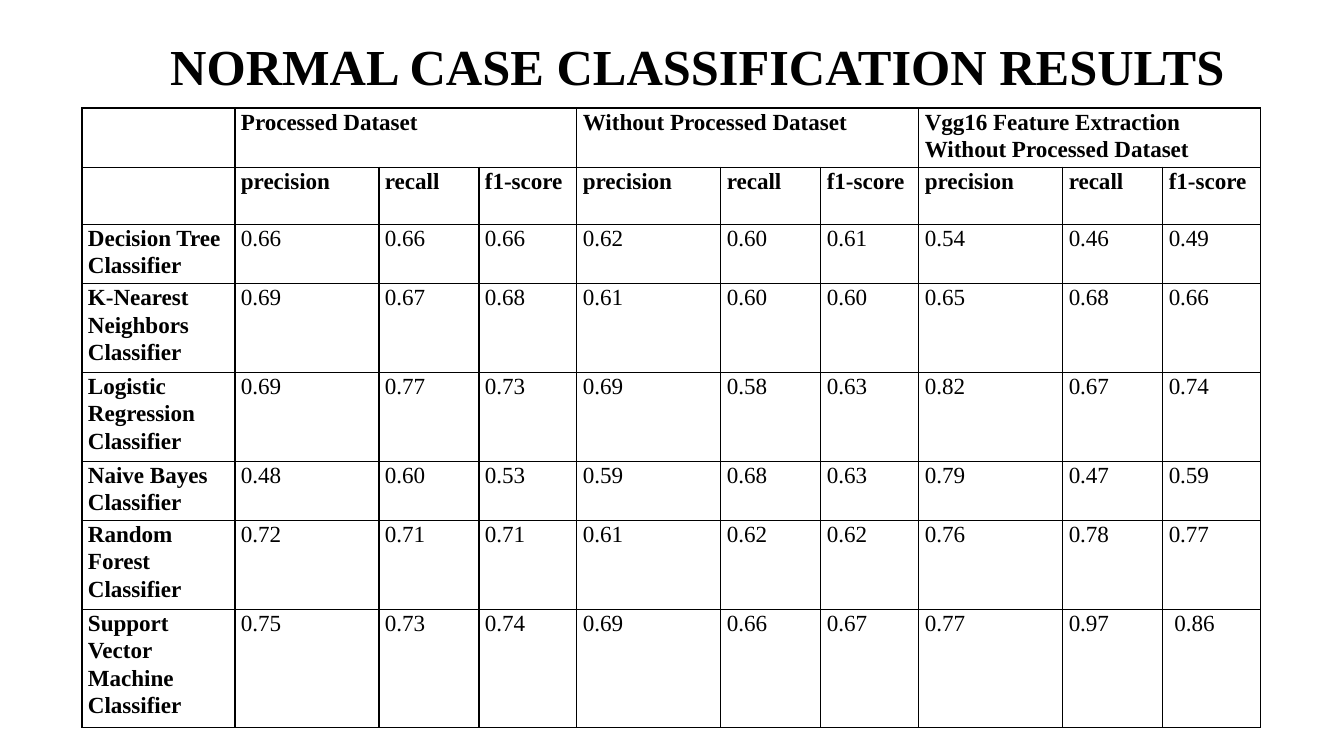
import pptx
import pptx.dml.color
import pptx.enum.text
import pptx.oxml
import pptx.oxml.ns
import pptx.util

PX = 914400 / 100.8
FONT = "Times New Roman"
COLORS = {"ink": "000000", "paper": "FFFFFF"}

DATASETS = ["Processed Dataset", "Without Processed Dataset",
            "Vgg16 Feature Extraction Without Processed Dataset"]
METRICS = ["precision", "recall", "f1-score"]
SCORES = {
    "Decision Tree Classifier":
        ["0.66", "0.66", "0.66", "0.62", "0.60", "0.61", "0.54", "0.46", "0.49"],
    "K-Nearest Neighbors Classifier":
        ["0.69", "0.67", "0.68", "0.61", "0.60", "0.60", "0.65", "0.68", "0.66"],
    "Logistic Regression Classifier":
        ["0.69", "0.77", "0.73", "0.69", "0.58", "0.63", "0.82", "0.67", "0.74"],
    "Naive Bayes Classifier":
        ["0.48", "0.60", "0.53", "0.59", "0.68", "0.63", "0.79", "0.47", "0.59"],
    "Random Forest Classifier":
        ["0.72", "0.71", "0.71", "0.61", "0.62", "0.62", "0.76", "0.78", "0.77"],
    "Support Vector Machine Classifier":
        ["0.75", "0.73", "0.74", "0.69", "0.66", "0.67", "0.77", "0.97", " 0.86"],
}
NAME_WIDTH = 153
METRIC_WIDTHS = [144, 100, 98]
ROW_HEIGHTS = [57, 57, 57, 85, 85, 57, 85, 114]


def px(n):
    return pptx.util.Emu(round(n * PX))


def rgb(name):
    return pptx.dml.color.RGBColor.from_string(COLORS[name])


def add_run(p, text, size, bold):
    r = p.add_run()
    r.text = text
    r.font.name = FONT
    r.font.size = pptx.util.Pt(size)
    r.font.bold = bold
    r.font.color.rgb = rgb("ink")


def add_title(s, x, y, w, h):
    tf = s.shapes.add_textbox(px(x), px(y), px(w), px(h)).text_frame
    tf.word_wrap = True
    tf.vertical_anchor = pptx.enum.text.MSO_ANCHOR.MIDDLE
    p = tf.paragraphs[0]
    p.alignment = pptx.enum.text.PP_ALIGN.CENTER
    add_run(p, "NORMAL CASE CLASSIFICATION RESULTS", 36, True)


def set_borders(cell):
    tc_pr = cell._tc.get_or_add_tcPr()
    for i, side in enumerate(["lnL", "lnR", "lnT", "lnB"]):
        tc_pr.insert(i, pptx.oxml.parse_xml(
            f'<a:{side} {pptx.oxml.ns.nsdecls("a")} w="12700"><a:solidFill>'
            f'<a:srgbClr val="{COLORS["ink"]}"/></a:solidFill></a:{side}>'))


def fill_cell(cell, text, bold):
    cell.margin_left = cell.margin_right = px(6)
    cell.margin_top = cell.margin_bottom = 0
    cell.fill.solid()
    cell.fill.fore_color.rgb = rgb("paper")
    set_borders(cell)
    if text:
        p = cell.text_frame.paragraphs[0]
        p.line_spacing = 1.07
        add_run(p, text, 16.5, bold)


def add_results(s, x, y):
    """Place the score table with its top left corner at x, y."""
    span = len(METRICS)
    widths = [NAME_WIDTH] + METRIC_WIDTHS * len(DATASETS)
    groups = [""]
    for dataset in DATASETS:
        groups += [dataset] + [""] * (span - 1)
    rows = [groups, [""] + METRICS * len(DATASETS)]
    rows += [[name] + scores for name, scores in SCORES.items()]

    table = s.shapes.add_table(len(rows), len(widths), px(x), px(y),
                               px(sum(widths)), px(sum(ROW_HEIGHTS))).table
    table.first_row = table.horz_banding = False
    for column, width in zip(table.columns, widths):
        column.width = px(width)
    for row, height in zip(table.rows, ROW_HEIGHTS):
        row.height = px(height)
    for i, row in enumerate(rows):
        for j, text in enumerate(row):
            fill_cell(table.cell(i, j), text, i < 2 or j == 0)
    for j in range(1, len(widths), span):
        table.cell(0, j).merge(table.cell(0, j + span - 1))


def main():
    prs = pptx.Presentation()
    prs.slide_width, prs.slide_height = px(1344), px(756)
    s = prs.slides.add_slide(prs.slide_layouts[6])
    add_title(s, 60, 30, 1275, 70)
    add_results(s, 82, 108)
    prs.save("out.pptx")


if __name__ == "__main__":
    main()
